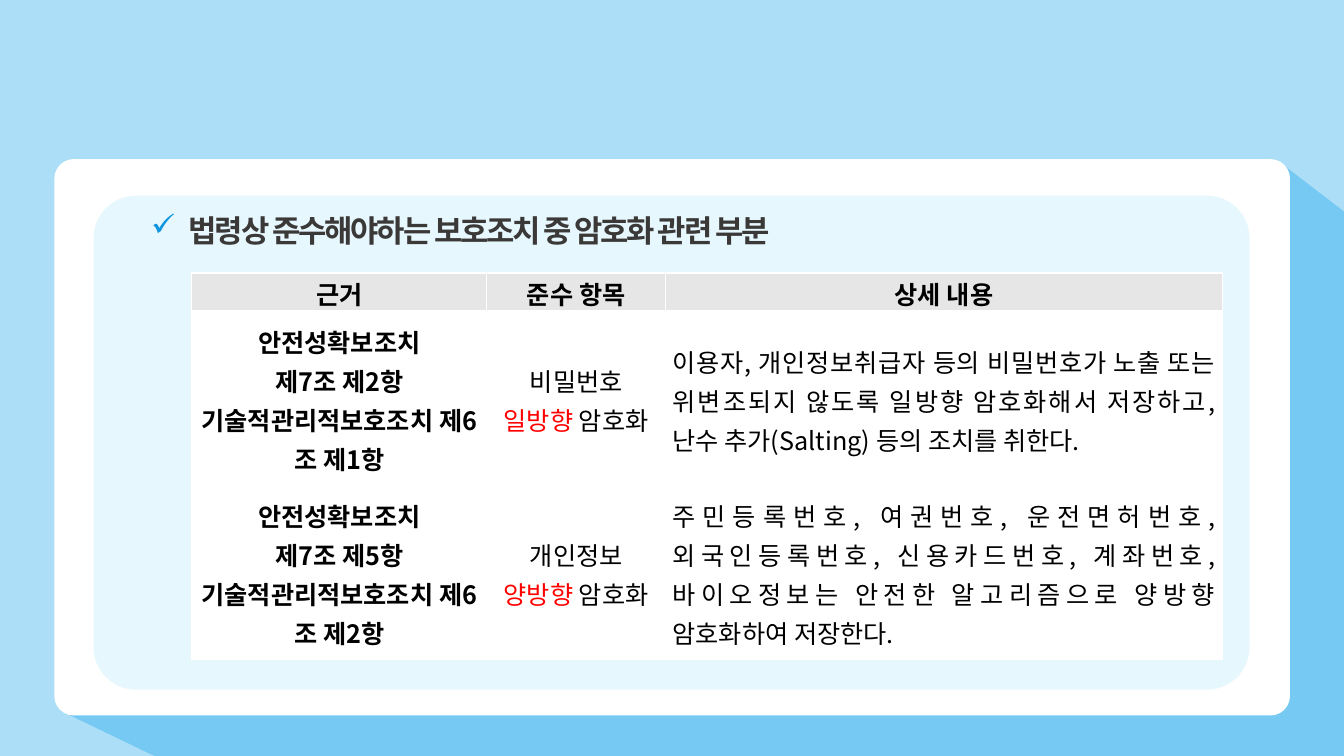
"""Build a slide with a table of legally required encryption measures."""
from dataclasses import dataclass

from lxml import etree
from pptx import Presentation
from pptx import util as u
from pptx.dml.color import RGBColor
from pptx.enum import shapes, text
from pptx.oxml import ns


@dataclass
class Theme:
    font: str = "Noto Sans CJK KR"
    sky: str = "ACDEF8"
    shade: str = "75C9F3"
    white: str = "FFFFFF"
    panel: str = "E6F7FE"
    header: str = "E7E6E6"
    ink: str = "000000"
    heading: str = "3B3838"
    accent: str = "FF0000"
    check: str = "0E95E0"
    heading_size: int = 22
    table_size: int = 18


theme = Theme()


def paint(part, color):
    part.shadow.inherit = False
    part.fill.solid()
    part.fill.fore_color.rgb = RGBColor.from_string(color)
    part.line.fill.background()


def write(paragraph, words, color, size, bold):
    run = paragraph.add_run()
    run.text = words
    for key, value in {"name": theme.font, "size": u.Pt(size), "bold": bold}.items():
        setattr(run.font, key, value)
    run.font.color.rgb = RGBColor.from_string(color)
    etree.SubElement(run.font._element, ns.qn("a:ea"), typeface=theme.font)
    return run


deck = Presentation()
deck.slide_width, deck.slide_height = u.Cm(33.87), u.Cm(19.05)
slide = deck.slides.add_slide(deck.slide_layouts[6])

sky = slide.shapes.add_shape(shapes.MSO_SHAPE.RECTANGLE, 0, 0, deck.slide_width, deck.slide_height)
paint(sky, theme.sky)

corners = [(32.28, 4.11), (33.87, 5.33), (33.87, 19.05), (3.89, 19.05), (1.63, 17.96)]
outline = [(u.Cm(x), u.Cm(y)) for x, y in corners]
builder = slide.shapes.build_freeform(*outline[0])
builder.add_line_segments(outline[1:], close=True)
paint(builder.convert_to_shape(), theme.shade)

for box, rounding, color in [
    ((1.37, 4.01, 31.14, 14.02), 0.035, theme.white),
    ((2.36, 4.93, 29.13, 12.45), 0.086, theme.panel),
]:
    card = slide.shapes.add_shape(shapes.MSO_SHAPE.ROUNDED_RECTANGLE, *map(u.Cm, box))
    card.adjustments[0] = rounding
    paint(card, color)

center, justify = text.PP_ALIGN.CENTER, text.PP_ALIGN.JUSTIFY
measures = [
    ("제7조 제2항", "기술적관리적보호조치 제6조 제1항", "비밀번호", "일방향",
     "이용자, 개인정보취급자 등의 비밀번호가 노출 또는 위변조되지 않도록 일방향 암호화해서 "
     "저장하고, 난수 추가(Salting) 등의 조치를 취한다."),
    ("제7조 제5항", "기술적관리적보호조치 제6조 제2항", "개인정보", "양방향",
     "주민등록번호, 여권번호, 운전면허번호, 외국인등록번호, 신용카드번호, 계좌번호, "
     "바이오정보는 안전한 알고리즘으로 양방향 암호화하여 저장한다."),
]
rows = [[[[title]] for title in ("근거", "준수 항목", "상세 내용")]]
for article, technical, target, method, detail in measures:
    rows.append([
        [["안전성확보조치"], [article, "\n", technical]],
        [[target, "\n", method, " 암호화"]],
        [[detail]],
    ])
methods = [measure[3] for measure in measures]

table = slide.shapes.add_table(3, 3, *map(u.Cm, (4.83, 6.88, 25.98, 9.73))).table
table.horz_banding = False
for column, width in zip(table.columns, (7.44, 4.5, 14.04)):
    column.width = u.Cm(width)
for row, height in zip(table.rows, (0.99, 4.37, 4.37)):
    row.height = u.Cm(height)

cell_format = {
    "vertical_anchor": text.MSO_ANCHOR.MIDDLE,
    "margin_left": u.Cm(0.18), "margin_right": u.Cm(0.18),
    "margin_top": 0, "margin_bottom": 0,
}
for r, row in enumerate(rows):
    for c, paragraphs in enumerate(row):
        cell = table.cell(r, c)
        for key, value in cell_format.items():
            setattr(cell, key, value)
        for n, pieces in enumerate(paragraphs):
            frame = cell.text_frame
            paragraph = frame.add_paragraph() if n else frame.paragraphs[0]
            paragraph.alignment = justify if r and c == 2 else center
            paragraph.line_spacing = 1.07
            for piece in pieces:
                if piece == "\n":
                    paragraph.add_line_break()
                    continue
                color = theme.accent if piece in methods else theme.ink
                write(paragraph, piece, color, theme.table_size, r == 0 or c == 0)
        properties = cell._tc.get_or_add_tcPr()
        for side in "LRTB":
            points = 3 if r == 0 and side == "B" or r == 1 and side == "T" else 1
            border = etree.SubElement(properties, ns.qn(f"a:ln{side}"), w=str(u.Pt(points)))
            border_fill = etree.SubElement(border, ns.qn("a:solidFill"))
            etree.SubElement(border_fill, ns.qn("a:srgbClr"), val=theme.white)
        cell.fill.solid()
        cell.fill.fore_color.rgb = RGBColor.from_string(theme.white if r else theme.header)

heading = slide.shapes.add_textbox(*map(u.Cm, (3.81, 4.85, 26.24, 1.42))).text_frame
heading_format = {
    "word_wrap": True, "auto_size": text.MSO_AUTO_SIZE.SHAPE_TO_FIT_TEXT,
    "vertical_anchor": text.MSO_ANCHOR.MIDDLE,
    "margin_left": 0, "margin_right": 0, "margin_top": 0, "margin_bottom": 0,
}
for key, value in heading_format.items():
    setattr(heading, key, value)
line = heading.paragraphs[0]
line.line_spacing = 1.5
indent = line._p.get_or_add_pPr()
indent.set("marL", str(u.Cm(0.95)))
indent.set("indent", str(u.Cm(-0.95)))
bullet_color = etree.SubElement(indent, ns.qn("a:buClr"))
etree.SubElement(bullet_color, ns.qn("a:srgbClr"), val=theme.check)
etree.SubElement(indent, ns.qn("a:buChar"), char="✓")
title = write(line, "법령상 준수해야하는 보호조치 중 암호화 관련 부분",
              theme.heading, theme.heading_size, True)
title.font._element.set("spc", "-150")

deck.save("out.pptx")
